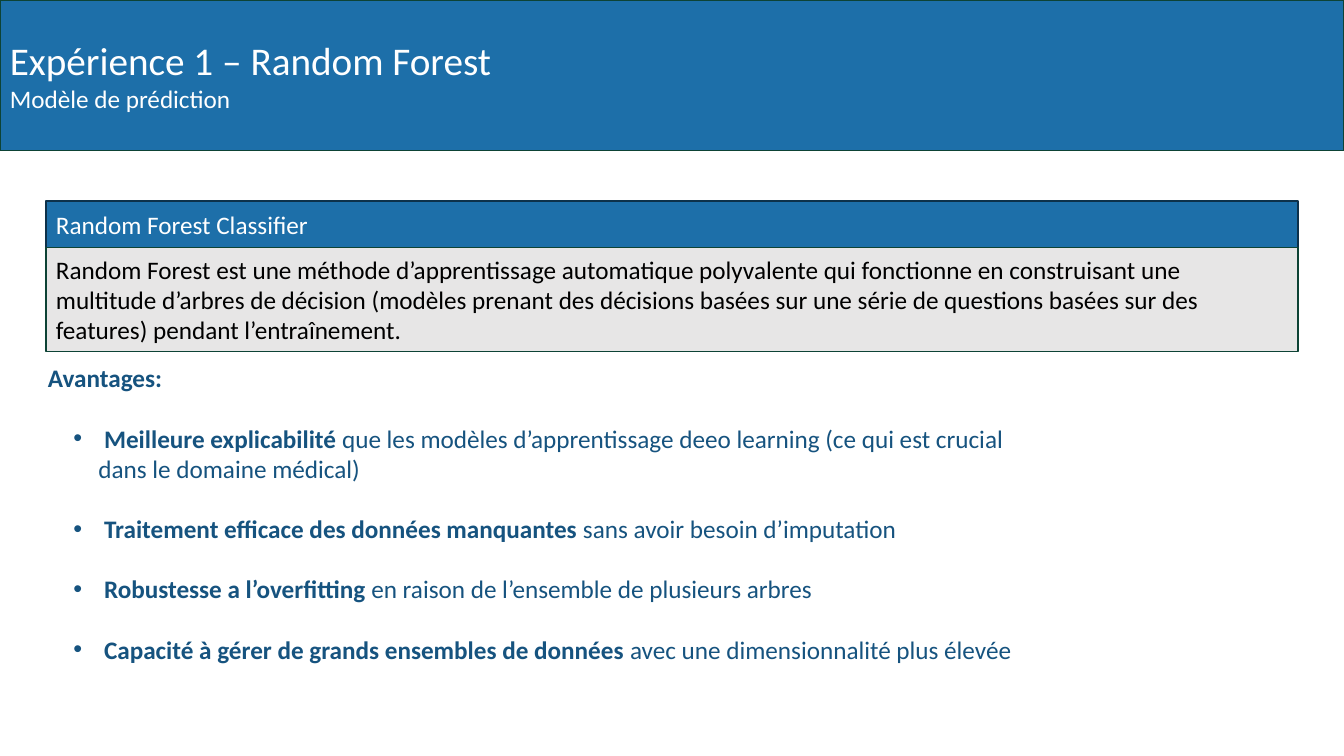
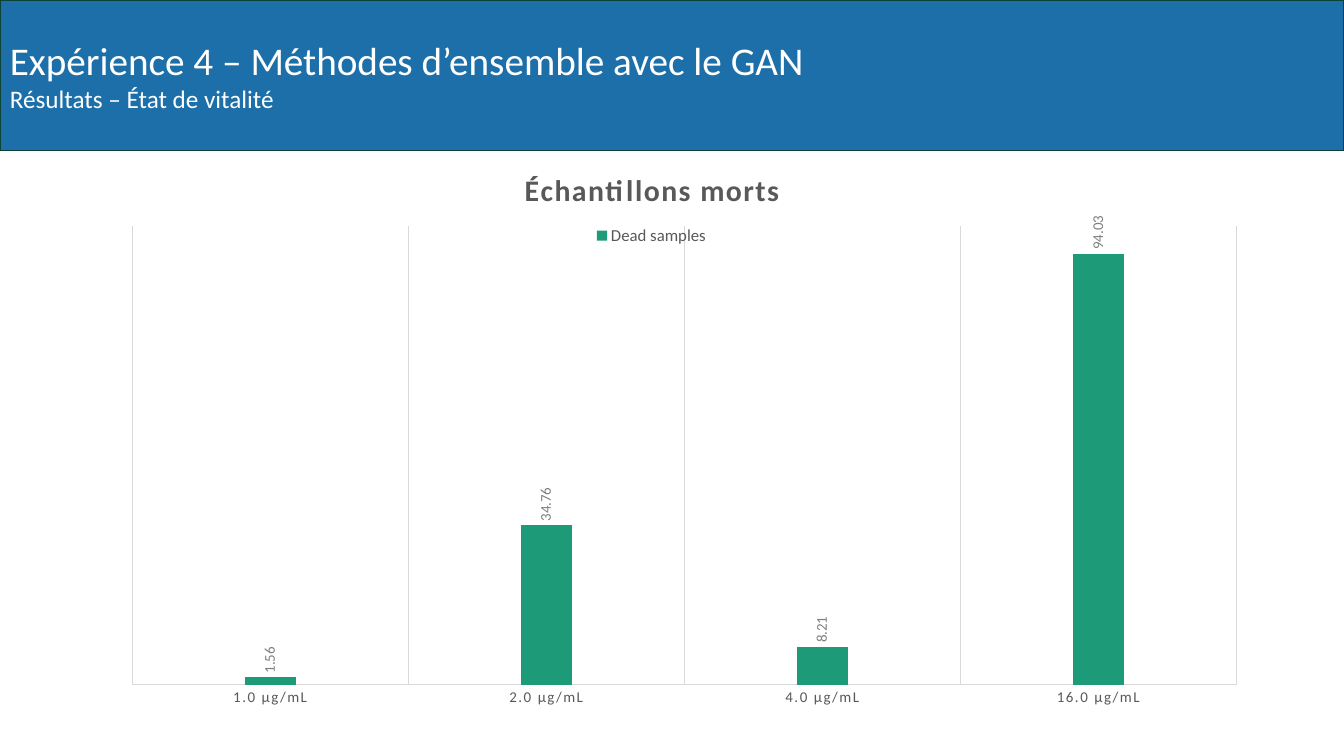
from lxml.etree import SubElement
from pptx import Presentation
from pptx.chart.data import CategoryChartData
from pptx.dml.color import RGBColor
from pptx.enum.chart import XL_CHART_TYPE, XL_LABEL_POSITION, XL_LEGEND_POSITION, XL_TICK_MARK
from pptx.enum.shapes import MSO_SHAPE
from pptx.enum.text import MSO_ANCHOR, MSO_AUTO_SIZE, PP_ALIGN
from pptx.oxml.ns import qn
from pptx.util import Cm, Pt

FONT = "Calibri"
BLUE = RGBColor(0x1D, 0x6F, 0xA9)
DARK_BLUE = RGBColor(0x16, 0x53, 0x7F)
NAVY = RGBColor(0x0D, 0x31, 0x4A)
DARK_GREEN = RGBColor(0x0D, 0x43, 0x35)
GREEN = RGBColor(0x1D, 0x9A, 0x78)
LIGHT_GRAY = RGBColor(0xE7, 0xE6, 0xE6)
GRID_GRAY = RGBColor(0xD9, 0xD9, 0xD9)
LABEL_GRAY = RGBColor(0x80, 0x80, 0x80)
TEXT_GRAY = RGBColor(0x59, 0x59, 0x59)
WHITE = RGBColor(0xFF, 0xFF, 0xFF)
BLACK = RGBColor(0x00, 0x00, 0x00)

PAGE_WIDTH = Cm(33.87)
PAGE_HEIGHT = Cm(19.05)
BAND_HEIGHT = Cm(3.79)
BODY_SIZE = 18
LABEL_SIZE = 10.64
LETTER_SPACING = "120"

DEFINITION = (
    "Random Forest est une méthode d’apprentissage automatique polyvalente qui "
    "fonctionne en construisant une multitude d’arbres de décision (modèles prenant "
    "des décisions basées sur une série de questions basées sur des features) "
    "pendant l’entraînement."
)
ADVANTAGES = [
    (" Meilleure explicabilité ",
     "que les modèles d’apprentissage deeo learning (ce qui est crucial dans le domaine médical)"),
    (" Traitement efficace des données manquantes ", "sans avoir besoin d’imputation"),
    (" Robustesse a l’overfitting ", "en raison de l’ensemble de plusieurs arbres"),
    (" Capacité à gérer de grands ensembles de données ",
     "avec une dimensionnalité plus élevée"),
]
DEAD_SAMPLES = {
    "1.0 µg/mL": 1.56,
    "2.0 µg/mL": 34.76,
    "4.0 µg/mL": 8.21,
    "16.0 µg/mL": 94.03,
}


def style_font(font, size, color, bold=False):
    font.name = FONT
    font.size = Pt(size)
    font.bold = bold
    font.color.rgb = color


def add_panel(page, area, lines, fill, outline, color):
    panel = page.shapes.add_shape(MSO_SHAPE.RECTANGLE, *area)
    panel.shadow.inherit = False
    panel.fill.solid()
    panel.fill.fore_color.rgb = fill
    panel.line.color.rgb = outline
    panel.line.width = Pt(1)
    frame = panel.text_frame
    frame.word_wrap = True
    frame.margin_right = Cm(0.5)
    frame.vertical_anchor = MSO_ANCHOR.MIDDLE
    frame.text = "\n".join(text for text, size in lines)
    for para, (text, size) in zip(frame.paragraphs, lines):
        para.alignment = PP_ALIGN.LEFT
        for span in para.runs:
            style_font(span.font, size, color)


def add_page(deck, title, subtitle):
    page = deck.slides.add_slide(deck.slide_layouts[6])
    add_panel(page, (0, 0, PAGE_WIDTH, BAND_HEIGHT),
              [(title, 28), (subtitle, BODY_SIZE)], BLUE, DARK_GREEN, WHITE)
    return page


def add_span(para, text, bold):
    span = para.add_run()
    span.text = text
    style_font(span.font, BODY_SIZE, DARK_BLUE, bold)


def add_bullet(frame, strong, plain):
    para = frame.add_paragraph()
    properties = para._p.get_or_add_pPr()
    properties.set("marL", str(Cm(1.27)))
    properties.set("indent", str(-Cm(0.63)))
    SubElement(properties, qn("a:buFont")).set("typeface", "Arial")
    SubElement(properties, qn("a:buChar")).set("char", "•")
    para.space_before = Pt(21.5)
    add_span(para, strong, True)
    add_span(para, plain, False)


def add_advantages(page, heading, items):
    box = page.shapes.add_textbox(Cm(0.96), Cm(9.01), Cm(25.25), Cm(9.5))
    frame = box.text_frame
    frame.word_wrap = True
    frame.auto_size = MSO_AUTO_SIZE.SHAPE_TO_FIT_TEXT
    add_span(frame.paragraphs[0], heading, True)
    for strong, plain in items:
        add_bullet(frame, strong, plain)


def place_part(part, index, inner=False, **percentages):
    for old_layout in part.findall(qn("c:layout")):
        part.remove(old_layout)
    layout = part.makeelement(qn("c:layout"))
    part.insert(index, layout)
    manual = SubElement(layout, qn("c:manualLayout"))
    if inner:
        SubElement(manual, qn("c:layoutTarget")).set("val", "inner")
    for mode in ("xMode", "yMode"):
        SubElement(manual, qn("c:" + mode)).set("val", "edge")
    for side, percentage in percentages.items():
        SubElement(manual, qn("c:" + side)).set("val", f"{percentage / 100:.3f}")


def style_line(line):
    line.color.rgb = GRID_GRAY
    line.width = Pt(0.75)


def style_axes(chart):
    categories = chart.category_axis
    categories.has_major_gridlines = True
    style_line(categories.major_gridlines.format.line)
    style_line(categories.format.line)
    categories.major_tick_mark = XL_TICK_MARK.NONE
    style_font(categories.tick_labels.font, LABEL_SIZE, TEXT_GRAY)
    values = chart.value_axis
    values.minimum_scale = 0
    values.maximum_scale = 100
    values.has_major_gridlines = False
    values.visible = False


def style_columns(plot):
    plot.gap_width = 444
    plot.overlap = -90
    plot.vary_by_categories = False
    columns = plot.series[0]
    columns.format.fill.solid()
    columns.format.fill.fore_color.rgb = GREEN
    labels = columns.data_labels
    labels.show_value = True
    labels.position = XL_LABEL_POSITION.OUTSIDE_END
    style_font(labels.font, LABEL_SIZE, LABEL_GRAY)


def add_column_chart(page, title, series_name, samples):
    data = CategoryChartData()
    data.categories = list(samples)
    data.add_series(series_name, list(samples.values()))
    chart = page.shapes.add_chart(
        XL_CHART_TYPE.COLUMN_CLUSTERED,
        Cm(1.68), BAND_HEIGHT, Cm(29.49), Cm(15.06), data).chart
    style_font(chart.font, 10, BLACK)
    chart.has_title = True
    title_frame = chart.chart_title.text_frame
    title_frame.text = title
    style_font(title_frame.paragraphs[0].runs[0].font, 2 * LABEL_SIZE, TEXT_GRAY, True)
    chart.has_legend = True
    chart.legend.position = XL_LEGEND_POSITION.TOP
    chart.legend.include_in_layout = False
    style_font(chart.legend.font, 12, TEXT_GRAY)
    style_axes(chart)
    style_columns(chart.plots[0])

    title_part, legend_part, plot_part, axis_part, labels_part = (
        next(chart.element.iter(qn("c:" + name)))
        for name in ("title", "legend", "plotArea", "catAx", "dLbls"))
    next(title_part.iter(qn("a:rPr"))).set("spc", LETTER_SPACING)
    next(axis_part.iter(qn("a:defRPr"))).set("spc", LETTER_SPACING)
    label_body = next(labels_part.iter(qn("a:bodyPr")))
    label_body.set("rot", "-5400000")
    label_body.set("vert", "horz")
    place_part(title_part, 1, x=38.7, y=2.3)
    place_part(legend_part, 1, x=45, y=12.6, w=10, h=3)
    place_part(plot_part, 0, inner=True, x=5.6, y=12.7, w=94.4, h=76.7)


def main():
    deck = Presentation()
    deck.slide_width = PAGE_WIDTH
    deck.slide_height = PAGE_HEIGHT

    page = add_page(deck, "Expérience 1 – Random Forest", "Modèle de prédiction")
    left, width = Cm(1.16), Cm(31.55)
    add_panel(page, (left, Cm(5.07), width, Cm(1.17)),
              [("Random Forest Classifier", BODY_SIZE)], BLUE, NAVY, WHITE)
    add_panel(page, (left, Cm(6.24), width, Cm(2.62)),
              [(DEFINITION, BODY_SIZE)], LIGHT_GRAY, DARK_GREEN, BLACK)
    add_advantages(page, "Avantages:", ADVANTAGES)

    page = add_page(deck, "Expérience 4 – Méthodes d’ensemble avec le GAN",
                    "Résultats – État de vitalité")
    add_column_chart(page, "Échantillons morts", "Dead samples", DEAD_SAMPLES)

    deck.save("out.pptx")


if __name__ == "__main__":
    main()
